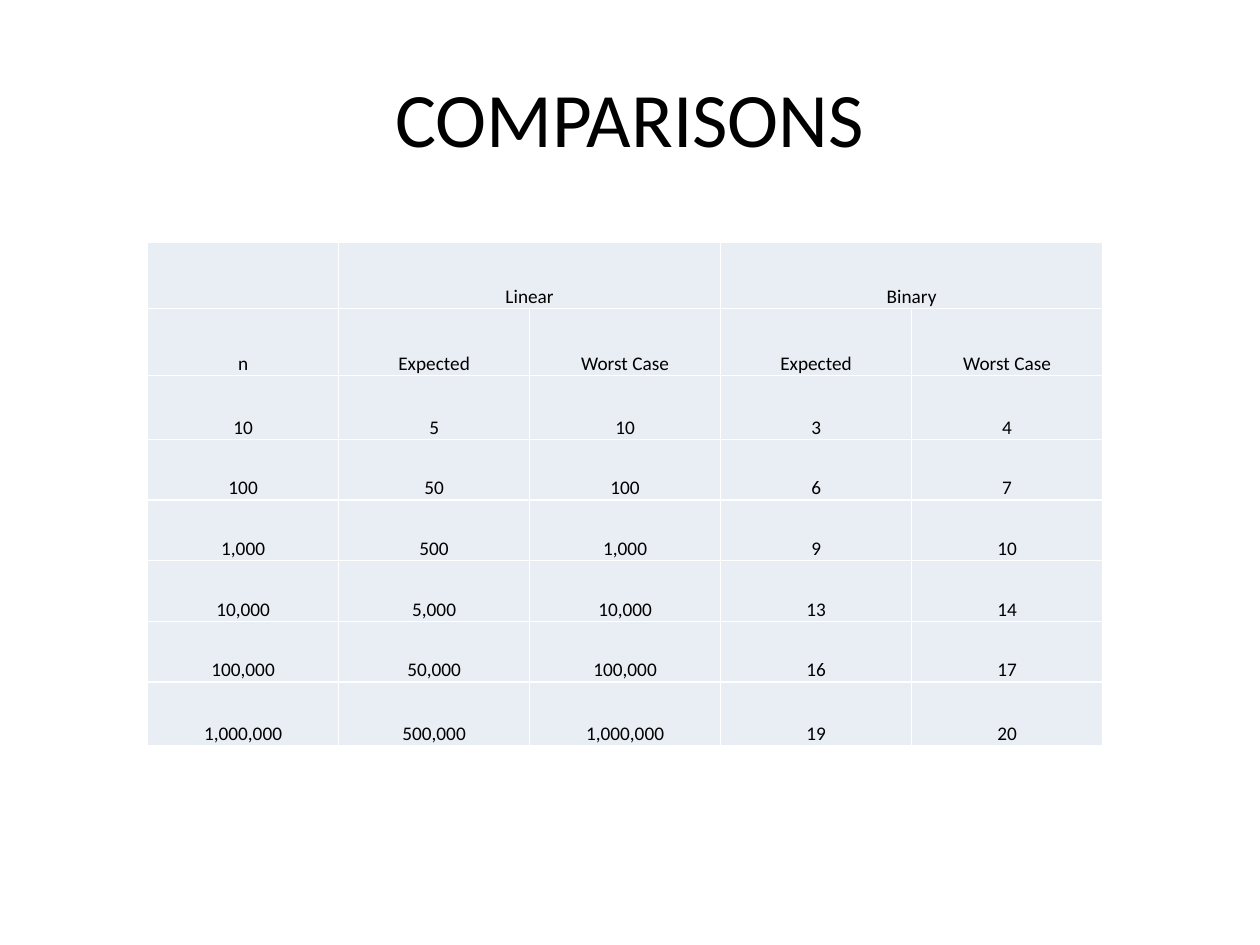
"""Build a slide that compares the step counts of linear and binary search."""
from lxml import etree
from pptx import Presentation
from pptx.dml.color import RGBColor
from pptx.enum.text import MSO_ANCHOR, PP_ALIGN
from pptx.oxml.ns import qn
from pptx.util import Pt

CENTER = PP_ALIGN.CENTER
MIDDLE = MSO_ANCHOR.MIDDLE
BOTTOM = MSO_ANCHOR.BOTTOM
BLACK = RGBColor(0x00, 0x00, 0x00)
WHITE = RGBColor(0xFF, 0xFF, 0xFF)
PALE = RGBColor(0xE9, 0xED, 0xF4)
FONT = "Calibri"

ROWS = [
    ("", "Linear", "", "Binary", ""),
    ("n", "Expected", "Worst Case", "Expected", "Worst Case"),
    ("10", "5", "10", "3", "4"),
    ("100", "50", "100", "6", "7"),
    ("1,000", "500", "1,000", "9", "10"),
    ("10,000", "5,000", "10,000", "13", "14"),
    ("100,000", "50,000", "100,000", "16", "17"),
    ("1,000,000", "500,000", "1,000,000", "19", "20"),
]
HEIGHTS = [38.2, 38.2, 36.5, 34.7, 34.7, 34.7, 34.7, 36.5]
COL = 109.15


def style(frame, size):
    """Centre the text of a frame and set its font."""
    for par in frame.paragraphs:
        par.alignment = CENTER
        for run in par.runs:
            run.font.name = FONT
            run.font.size = Pt(size)
            run.font.color.rgb = BLACK


def border(cell):
    """Draw a thin white line on each side of a cell."""
    props = cell._tc.get_or_add_tcPr()
    for side in ("a:lnL", "a:lnR", "a:lnT", "a:lnB"):
        line = etree.SubElement(props, qn(side), w=str(Pt(1)))
        fill = etree.SubElement(line, qn("a:solidFill"))
        etree.SubElement(fill, qn("a:srgbClr"), val=str(WHITE))


prs = Presentation()
prs.slide_width, prs.slide_height = Pt(720), Pt(540)
slide = prs.slides.add_slide(prs.slide_layouts[5])

title = slide.shapes.title
title.left, title.top = Pt(36), Pt(21.6)
title.width, title.height = Pt(648), Pt(90)
title.text_frame.text = "COMPARISONS"
title.text_frame.vertical_anchor = MIDDLE
style(title.text_frame, 44)

count = len(ROWS[0])
table = slide.shapes.add_table(
    len(ROWS), count, Pt(84.4), Pt(138.2), Pt(COL * count), Pt(sum(HEIGHTS))
).table
table.first_row = False
table.horz_banding = False
for col in table.columns:
    col.width = Pt(COL)

for r, (row, height) in enumerate(zip(ROWS, HEIGHTS)):
    table.rows[r].height = Pt(height)
    for c, text in enumerate(row):
        cell = table.cell(r, c)
        border(cell)
        cell.fill.solid()
        cell.fill.fore_color.rgb = PALE
        cell.vertical_anchor = BOTTOM
        cell.margin_left = cell.margin_right = cell.margin_top = Pt(0.7)
        cell.margin_bottom = Pt(0)
        cell.text_frame.text = text
        style(cell.text_frame, 11)

for c in (1, 3):
    table.cell(0, c).merge(table.cell(0, c + 1))

prs.save("out.pptx")
